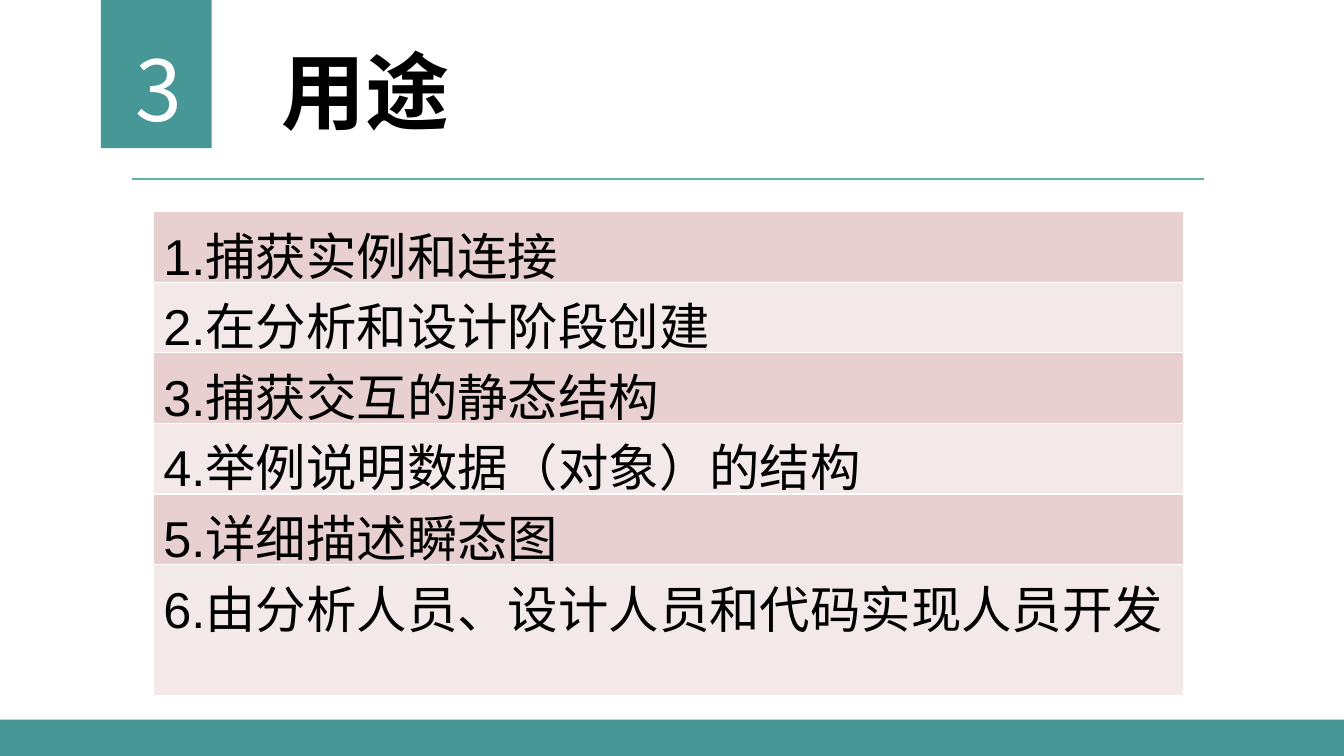
import pptx
import pptx.util
import pptx.dml.color
import pptx.enum.shapes
import pptx.enum.text
import pptx.oxml
import lxml.etree
from pptx.util import Inches

# Content
NUMBER, TITLE = "3", "用途"
USES = [
    "捕获实例和连接",
    "在分析和设计阶段创建",
    "捕获交互的静态结构",
    "举例说明数据（对象）的结构",
    "详细描述瞬态图",
    "由分析人员、设计人员和代码实现人员开发",
]
TEAL, LINE, BLACK, WHITE = "479796", "5DB3B0", "000000", "FFFFFF"
BANDS = ["E8D0D0", "F4E9E9"]
ROW_H = 0.41  # rows grow to fit their text
A = "http://schemas.openxmlformats.org/drawingml/2006/main"


def color(value):
    return pptx.dml.color.RGBColor.from_string(value)


def style(tf, size, font, value, bold=False):
    f = tf.paragraphs[0].runs[0].font
    f.size, f.name, f.bold = pptx.util.Pt(size), font, bold
    f.color.rgb = color(value)


def add_bar(s, *box):
    sp = s.shapes.add_shape(pptx.enum.shapes.MSO_SHAPE.RECTANGLE, *map(Inches, box))
    sp.shadow.inherit = False
    sp.fill.solid()
    sp.fill.fore_color.rgb = color(TEAL)
    sp.line.fill.background()


def add_text(s, text, box, font, value, bold=False, align=None):
    tf = s.shapes.add_textbox(*map(Inches, box)).text_frame
    tf.word_wrap = True
    tf.auto_size = pptx.enum.text.MSO_AUTO_SIZE.SHAPE_TO_FIT_TEXT
    tf.text = text
    tf.paragraphs[0].alignment = align
    style(tf, 60, font, value, bold)


def add_borders(cell):
    tcPr = cell._tc.get_or_add_tcPr()
    for i, side in enumerate(("lnL", "lnR", "lnT", "lnB")):
        tcPr.insert(i, pptx.oxml.parse_xml(
            f'<a:{side} xmlns:a="{A}" w="12700"><a:solidFill>'
            f'<a:srgbClr val="{WHITE}"/></a:solidFill></a:{side}>'))


prs = pptx.Presentation()
prs.slide_width, prs.slide_height = Inches(13.33), Inches(7.5)
s = prs.slides.add_slide(prs.slide_layouts[6])

# Header and footer
add_bar(s, 1, 0, 1.1, 1.47)
add_text(s, NUMBER, (1.03, 0.32, 1.1, 1.11), "Noto Sans CJK KR", WHITE,
         align=pptx.enum.text.PP_ALIGN.CENTER)
add_text(s, TITLE, (2.69, 0.34, 6.93, 1.11), "Arial", BLACK, bold=True)
add_bar(s, 0, 7.14, 13.33, 0.36)

rule = s.shapes.add_connector(pptx.enum.shapes.MSO_CONNECTOR.STRAIGHT,
                              Inches(1.31), Inches(1.78), Inches(11.94), Inches(1.78))
rule.line.color.rgb = color(LINE)
rule.line.width = pptx.util.Pt(1.5)
lxml.etree.SubElement(rule._element.spPr, f"{{{A}}}effectLst")

# Table of uses
table = s.shapes.add_table(len(USES), 1, Inches(1.52), Inches(2.1),
                           Inches(10.22), Inches(ROW_H * len(USES))).table
table.first_row = False
for i, use in enumerate(USES):
    cell = table.cell(i, 0)
    cell.text_frame.text = f"{i + 1}.{use}"
    style(cell.text_frame, 36, "Arial", BLACK)
    cell.fill.solid()
    cell.fill.fore_color.rgb = color(BANDS[i % 2])
    add_borders(cell)

prs.save("out.pptx")
